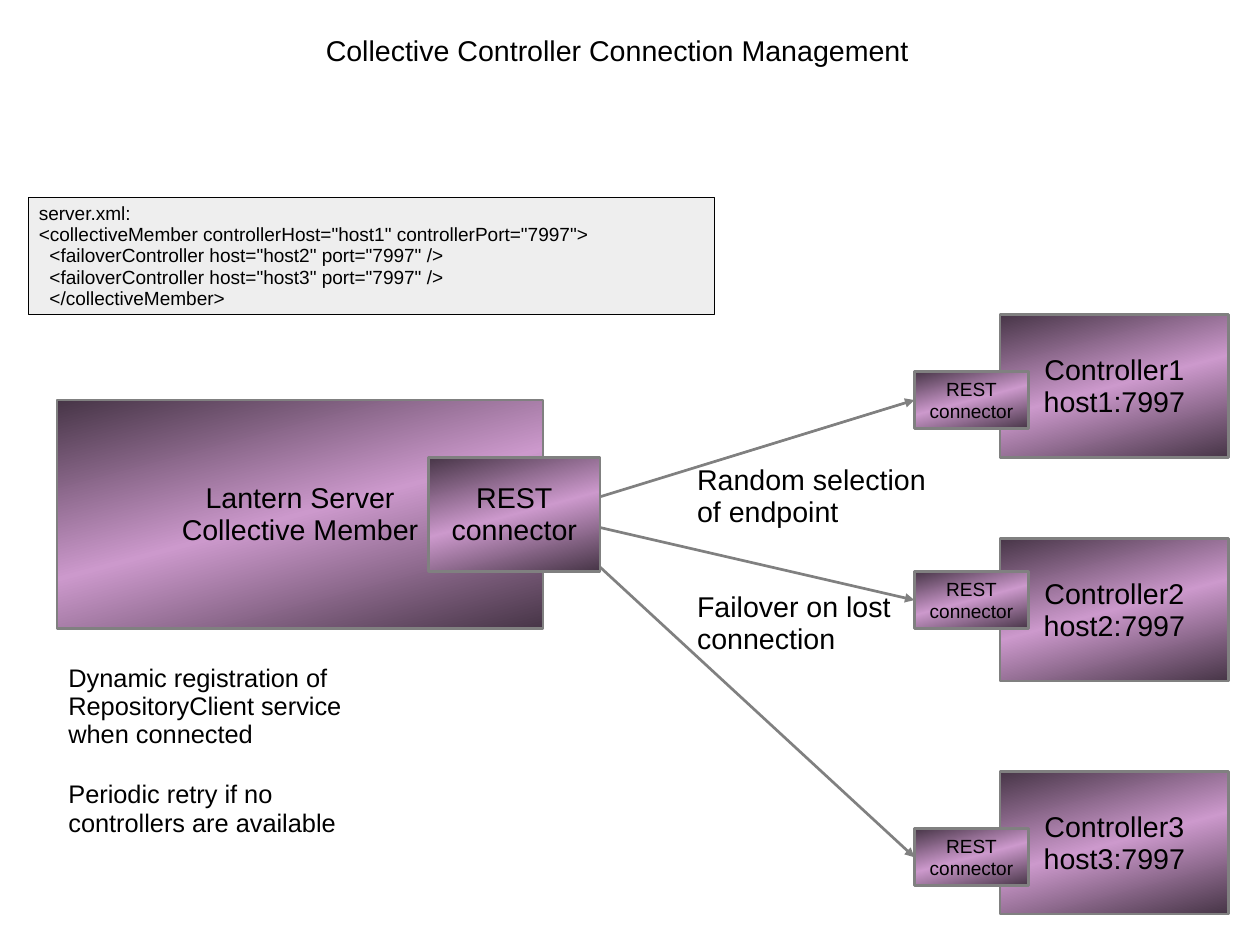
"""Build the slide on connection management between a collective member and its controllers."""
import copy

import pptx
import pptx.dml.color
import pptx.enum.shapes
import pptx.enum.text
import pptx.oxml.ns
import pptx.util
from lxml import etree

Pt = pptx.util.Pt
RGBColor = pptx.dml.color.RGBColor
ALIGN = pptx.enum.text.PP_ALIGN
ANCHOR = pptx.enum.text.MSO_ANCHOR
RECTANGLE = pptx.enum.shapes.MSO_SHAPE.RECTANGLE

BLACK = RGBColor(0x00, 0x00, 0x00)
GRAY = RGBColor(0x80, 0x80, 0x80)
PALE_GRAY = RGBColor(0xEE, 0xEE, 0xEE)
PLUM = RGBColor(0x47, 0x35, 0x47)
LILAC = RGBColor(0xCC, 0x99, 0xCC)

EDGE = 1.7
CONNECTOR_LABEL = ["REST", "connector"]
CONFIG = [
    "server.xml:",
    '<collectiveMember controllerHost="host1" controllerPort="7997">',
    '<failoverController host="host2" port="7997" />',
    '<failoverController host="host3" port="7997" />',
    "</collectiveMember>",
]
CONTROLLER_TOPS = [198, 339, 485.8]
ENDPOINT_TOPS = [234, 360, 522]
ENDPOINT_LEFT, ENDPOINT_WIDTH, ENDPOINT_HEIGHT = 576, 72, 36


def write_text(frame, lines, size=18, align=ALIGN.LEFT, anchor=ANCHOR.TOP,
               margins=(7.2, 4.8, 7.2, 3.6), gaps=None, indents=None):
    """Fill a text frame, one paragraph a line, with gaps and indents keyed by line number."""
    frame.word_wrap = True
    frame.auto_size = pptx.enum.text.MSO_AUTO_SIZE.NONE
    frame.vertical_anchor = anchor
    (frame.margin_left, frame.margin_top,
     frame.margin_right, frame.margin_bottom) = map(Pt, margins)
    for number, line in enumerate(lines):
        paragraph = frame.add_paragraph() if number else frame.paragraphs[0]
        paragraph.alignment = align
        paragraph.line_spacing = 0.93
        paragraph.space_before = Pt((gaps or {}).get(number, 0))
        if indents and number in indents:
            paragraph._p.get_or_add_pPr().set("marL", str(Pt(indents[number])))
        run = paragraph.add_run()
        run.text = line
        run.font.name = "Arial"
        run.font.size = Pt(size)
        run.font.color.rgb = BLACK


def add_box(slide, bounds, line_color, line_width):
    """Add a shadowless rectangle with the given outline."""
    box = slide.shapes.add_shape(RECTANGLE, *map(Pt, bounds))
    box.shadow.inherit = False
    box.line.color.rgb = line_color
    box.line.width = Pt(line_width)
    return box


def add_node(slide, bounds, lines, size=18):
    """Add a node with a dark-light-dark gradient and a centred label."""
    node = add_box(slide, bounds, GRAY, EDGE)
    node.fill.gradient()
    node.fill.gradient_angle = 285
    first_stop = node.element.xpath(".//a:gs")[0]
    first_stop.addnext(copy.deepcopy(first_stop))
    for stop, position, color in zip(node.fill.gradient_stops, (0, 0.5, 1), (PLUM, LILAC, PLUM)):
        stop.position = position
        stop.color.rgb = color
    write_text(node.text_frame, lines, size, ALIGN.CENTER, ANCHOR.MIDDLE)


def add_note(slide, bounds, lines, **text_format):
    """Add a plain text note."""
    note = slide.shapes.add_textbox(*map(Pt, bounds))
    write_text(note.text_frame, lines, **text_format)


def add_arrow(slide, start, end):
    """Add a straight gray arrow."""
    arrow = slide.shapes.add_connector(
        pptx.enum.shapes.MSO_CONNECTOR.STRAIGHT, *map(Pt, (*start, *end)))
    arrow.line.color.rgb = GRAY
    arrow.line.width = Pt(EDGE)
    qn = pptx.oxml.ns.qn
    etree.SubElement(arrow.line._get_or_add_ln(), qn("a:tailEnd"), type="triangle")
    etree.SubElement(arrow.element.spPr, qn("a:effectLst"))


def add_title(slide, bounds, text):
    """Place and format the title placeholder."""
    title = slide.shapes.title
    title.left, title.top, title.width, title.height = map(Pt, bounds)
    write_text(title.text_frame, [text])


def add_config(slide, bounds):
    """Add the panel with the server configuration."""
    panel = add_box(slide, bounds, BLACK, 0.71)
    panel.fill.solid()
    panel.fill.fore_color.rgb = PALE_GRAY
    write_text(panel.text_frame, CONFIG, size=12, margins=(6.5, 3.6, 6.5, 2.9),
               anchor=ANCHOR.MIDDLE, indents=dict.fromkeys((2, 3, 4), 6.67))


def main():
    """Build and save the slide."""
    deck = pptx.Presentation()
    deck.slide_width, deck.slide_height = Pt(793.7), Pt(595.28)
    slide = deck.slides.add_slide(deck.slide_layouts.get_by_name("Title Only"))

    add_title(slide, (198, 18, 414, 27), "Collective Controller Connection Management")
    for number, top in enumerate(CONTROLLER_TOPS, 1):
        add_node(slide, (630, top, 144, 90), [f"Controller{number}", f"host{number}:7997"])
    add_node(slide, (36, 252, 306, 144), ["Lantern Server", "Collective Member"])
    add_config(slide, (18, 124.5, 432, 73.5))

    for top in ENDPOINT_TOPS:
        add_arrow(slide, (342, 324), (ENDPOINT_LEFT, top + ENDPOINT_HEIGHT / 2))
    add_node(slide, (270, 288, 108, 72), CONNECTOR_LABEL)
    add_note(slide, (432, 288, 162, 128),
             ["Random selection of endpoint", "Failover on lost connection"], gaps={1: 40})
    add_note(slide, (36, 414, 234, 117),
             ["Dynamic registration of RepositoryClient service", "when connected",
              "Periodic retry if no", "controllers are available"],
             size=16, margins=(7.2, 4.5, 7.2, 3.6), gaps={2: 20})
    for top in ENDPOINT_TOPS:
        add_node(slide, (ENDPOINT_LEFT, top, ENDPOINT_WIDTH, ENDPOINT_HEIGHT),
                 CONNECTOR_LABEL, size=12)

    deck.save("out.pptx")


main()
